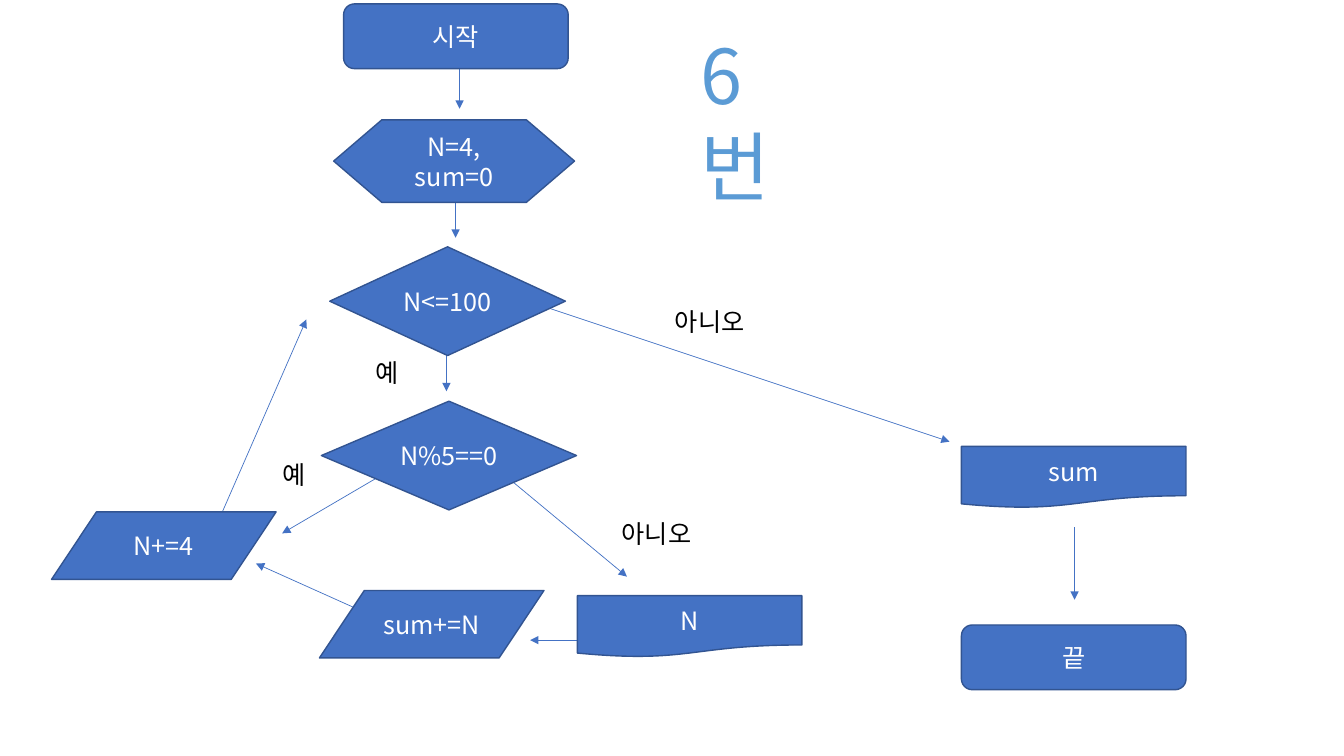
from lxml.etree import SubElement
from pptx import Presentation
from pptx.dml.color import RGBColor
from pptx.enum.shapes import MSO_CONNECTOR, MSO_SHAPE
from pptx.enum.text import MSO_ANCHOR, MSO_AUTO_SIZE, PP_ALIGN
from pptx.oxml.ns import qn
from pptx.util import Cm, Pt

FONT = "Noto Sans CJK KR"
COLORS = {"fill": "4472C4", "edge": "325491", "node": "FFFFFF",
          "label": "000000", "title": "5B9BD5"}
NODE_W, BAR_H, DATA_H, DOC_H, DIAMOND_H = 5.66, 1.63, 1.7, 1.55, 2.74


def rgb(name):
    return RGBColor.from_string(COLORS[name])


def write(sp, text, color, size=18, align=PP_ALIGN.LEFT):
    tf = sp.text_frame
    tf.word_wrap = True
    tf.text = text
    p = tf.paragraphs[0]
    p.alignment = align
    p.line_spacing = 1.0
    p.font.name, p.font.size = FONT, Pt(size)
    p.font.color.rgb = rgb(color)
    # East Asian typeface for the Korean text
    SubElement(p._p.pPr.find(qn("a:defRPr")), qn("a:ea"), typeface=FONT)
    return tf


def add_node(slide, box, kind, text, x, y, w, h):
    sp = slide.shapes.add_shape(kind, Cm(box[0] + x), Cm(box[1] + y), Cm(w), Cm(h))
    sp.shadow.inherit = False
    sp.fill.solid()
    sp.fill.fore_color.rgb = rgb("fill")
    sp.line.color.rgb = rgb("edge")
    sp.line.width = Pt(1)
    write(sp, text, "node", align=PP_ALIGN.CENTER).vertical_anchor = MSO_ANCHOR.MIDDLE


def add_arrow(slide, box, x1, y1, x2, y2):
    left, top = box
    line = slide.shapes.add_connector(MSO_CONNECTOR.STRAIGHT, Cm(left + x1),
                                      Cm(top + y1), Cm(left + x2), Cm(top + y2))
    line.line.color.rgb = rgb("fill")
    line.line.width = Pt(0.5)
    SubElement(line.line._get_or_add_ln(), qn("a:tailEnd"), type="triangle")
    SubElement(line._element.spPr, qn("a:effectLst"))


def add_label(slide, box, text, x, y, w):
    sp = slide.shapes.add_textbox(Cm(box[0] + x), Cm(box[1] + y), Cm(w), Cm(1.02))
    write(sp, text, "label")


def draw_title(slide, left, top, width, height):
    sp = slide.shapes.title
    sp.left, sp.top, sp.width, sp.height = Cm(left), Cm(top), Cm(width), Cm(height)
    tf = write(sp, "6번", "title", 54)
    tf.auto_size = MSO_AUTO_SIZE.NONE
    tf.vertical_anchor = MSO_ANCHOR.TOP


def draw_loop(slide, *box):
    # Arrows lie behind the nodes
    for ends in [
        (10.28, 0.81, 10.28, 2.64),     # start to preparation
        (10.18, 4.07, 10.18, 5.89),     # preparation to limit test
        (9.95, 7.95, 9.95, 9.76),       # limit test to multiple test
        (12.01, 7.49, 22.63, 11.03),    # limit test to result
        (10.21, 10.87, 14.5, 14.43),    # multiple test to print
        (8.2, 11.94, 5.81, 13.34),      # multiple test to step
        (13.91, 16.03, 12.06, 16.03),   # print to sum
        (7.69, 15.24, 5.15, 14.1),      # sum to step
        (4.29, 12.83, 6.42, 7.95),      # step back to limit test
    ]:
        add_arrow(slide, box, *ends)
    # Nodes
    for node in [
        (MSO_SHAPE.FLOWCHART_ALTERNATE_PROCESS, "시작", 7.36, 0, NODE_W, BAR_H),
        (MSO_SHAPE.FLOWCHART_PREPARATION, "N=4, sum=0", 7.11, 2.92, 6.07, 2.08),
        (MSO_SHAPE.DIAMOND, "N<=100", 7.01, 6.12, 5.94, DIAMOND_H),
        (MSO_SHAPE.DIAMOND, "N%5==0", 6.8, 10.01, 6.43, DIAMOND_H),
        (MSO_SHAPE.FLOWCHART_DATA, "N+=4", 0, 12.8, NODE_W, DATA_H),
        (MSO_SHAPE.FLOWCHART_DATA, "sum+=N", 6.75, 14.78, NODE_W, DATA_H),
        (MSO_SHAPE.FLOWCHART_DOCUMENT, "N", 13.25, 14.91, NODE_W, DOC_H),
    ]:
        add_node(slide, box, *node)
    # Branch labels
    for label in [("예", 7.92, 8.79, 1.35), ("아니오", 15.46, 7.49, 2.69),
                  ("예", 5.56, 11.36, 1.35), ("아니오", 14.12, 12.83, 2.69)]:
        add_label(slide, box, *label)


def draw_exit(slide, *box):
    add_node(slide, box, MSO_SHAPE.FLOWCHART_DOCUMENT, "sum", 0, 0, NODE_W, DOC_H)
    add_arrow(slide, box, 2.85, 2.03, 2.85, 3.86)
    add_node(slide, box, MSO_SHAPE.FLOWCHART_ALTERNATE_PROCESS, "끝", 0, 4.5, NODE_W, BAR_H)


prs = Presentation()
prs.slide_width, prs.slide_height = Cm(33.87), Cm(19.05)
slide = prs.slides.add_slide(prs.slide_layouts[5])
draw_loop(slide, 1.3, 0.1)
draw_exit(slide, 24.23, 11.25)
draw_title(slide, 17.4, 0.6, 2.5, 4.8)
prs.save("out.pptx")
